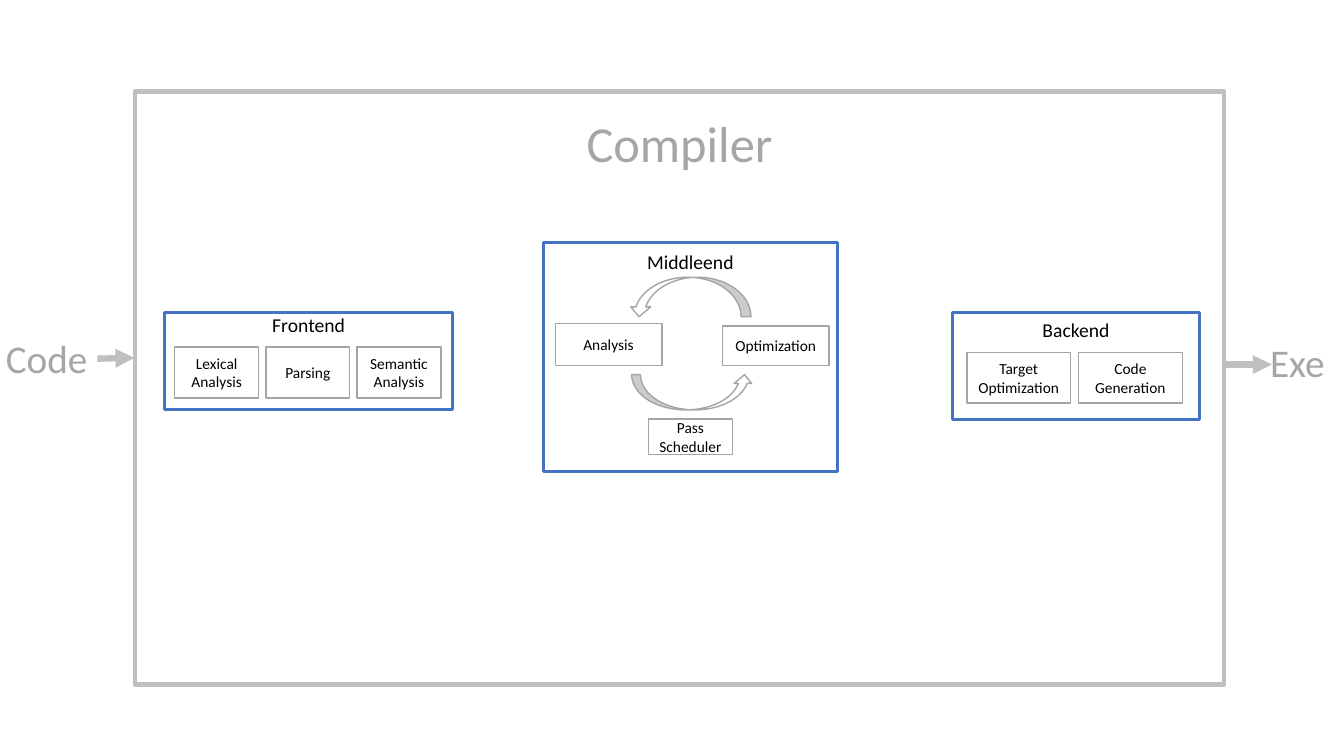
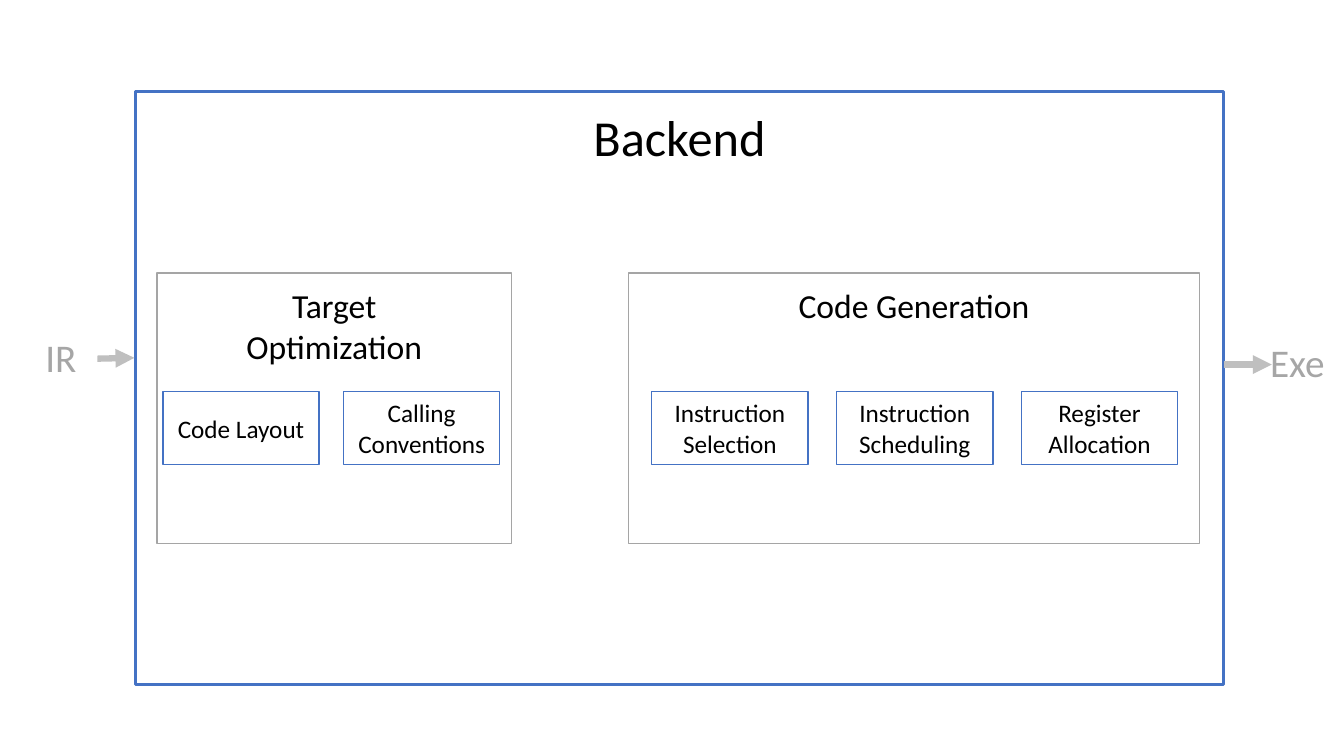
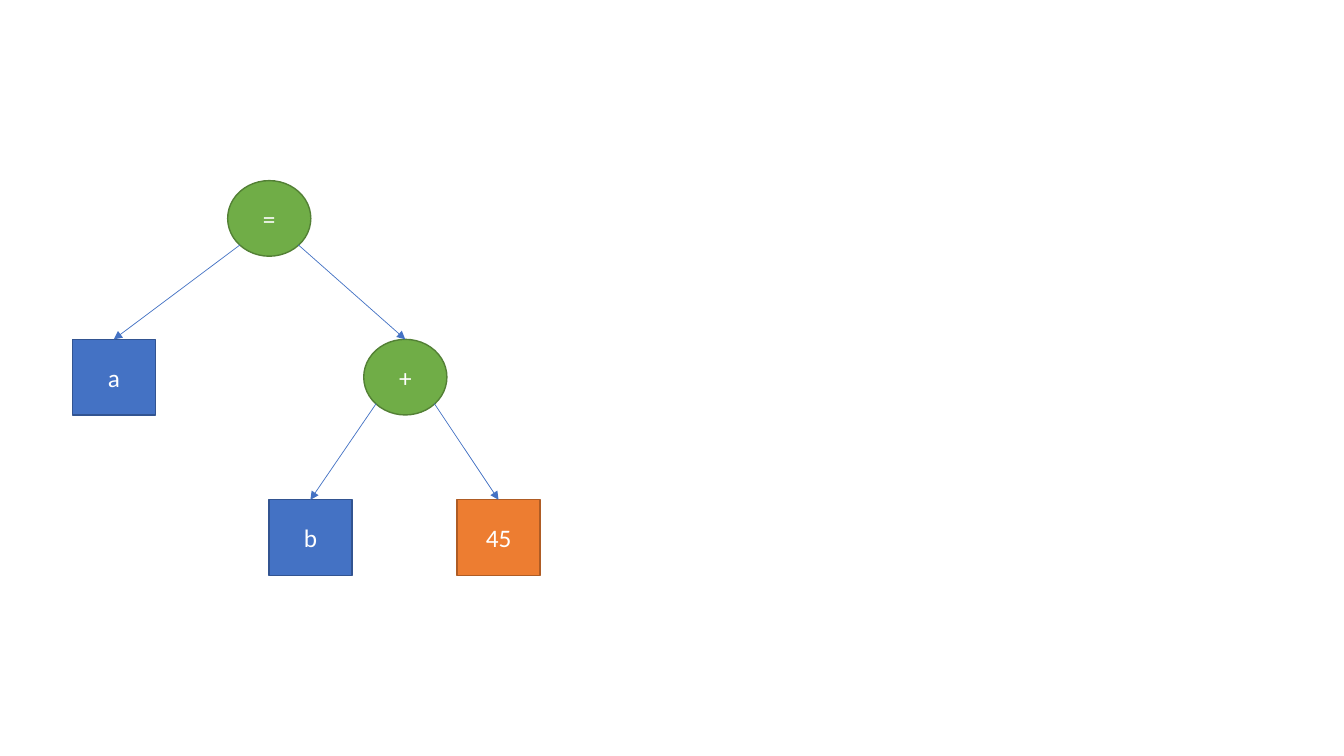
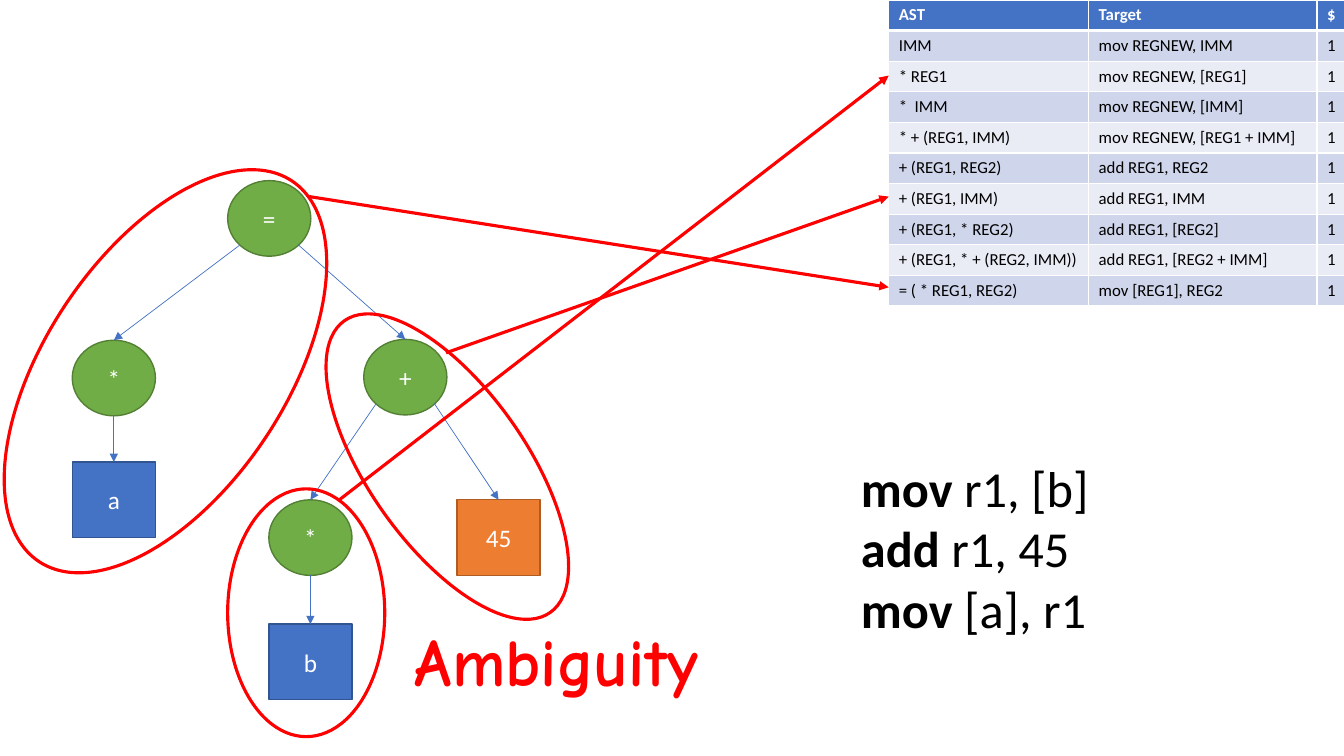
from dataclasses import dataclass
from typing import Optional

import pptx
import pptx.dml.color
import pptx.enum.shapes
import pptx.enum.text
import pptx.oxml
import pptx.oxml.ns
import pptx.util
from lxml import etree

RGB = pptx.dml.color.RGBColor
PRESET = pptx.enum.shapes.MSO_SHAPE
ALIGN = pptx.enum.text.PP_ALIGN
ANCHOR = pptx.enum.text.MSO_ANCHOR
AUTO_SIZE = pptx.enum.text.MSO_AUTO_SIZE
qn = pptx.oxml.ns.qn

# Shared colours and fonts
WHITE = RGB(0xFF, 0xFF, 0xFF)
BLACK = RGB(0, 0, 0)
RED = RGB(0xFF, 0, 0)
BLUE = RGB(0x44, 0x72, 0xC4)
DARK_BLUE = RGB(0x32, 0x54, 0x91)
GREEN = RGB(0x70, 0xAD, 0x47)
DARK_GREEN = RGB(0x53, 0x80, 0x35)
ORANGE = RGB(0xED, 0x7D, 0x31)
DARK_ORANGE = RGB(0xAF, 0x5C, 0x24)
GREY = RGB(0xA5, 0xA5, 0xA5)
TEXT_GREY = RGB(0xA6, 0xA6, 0xA6)
LIGHT_GREY = RGB(0xBF, 0xBF, 0xBF)
BANDS = (RGB(0xE9, 0xEB, 0xF5), RGB(0xCF, 0xD5, 0xEA))
BODY_FONT = "Calibri"
NOTE_FONT = "Comic Neue"

# The slide is a grid of 160 columns by 90 rows
WIDTH, HEIGHT = pptx.util.Inches(13.33), pptx.util.Inches(7.5)
COLUMNS, ROWS = 160, 90


def across(columns: float) -> int:
    return round(WIDTH * columns / COLUMNS)


def down(rows: float) -> int:
    return round(HEIGHT * rows / ROWS)


@dataclass(frozen=True)
class Area:
    left: float
    top: float
    width: float
    height: float

    def lengths(self) -> tuple:
        return across(self.left), down(self.top), across(self.width), down(self.height)


@dataclass(frozen=True)
class Look:
    fill: Optional[RGB]
    line: RGB
    weight: float
    size: float = 18
    color: RGB = BLACK
    preset: int = PRESET.RECTANGLE


@dataclass(frozen=True)
class Stage:
    """A headed box holding one row of equal steps."""
    heading: str
    area: Area
    inset: float
    steps: tuple = ()
    first: Optional[Area] = None
    pitch: float = 0


@dataclass(frozen=True)
class Node:
    label: str
    look: Look
    left: float
    top: float


@dataclass(frozen=True)
class Edge:
    parent: str
    child: str
    side: int  # -1 lower left, 0 bottom, 1 lower right


@dataclass(frozen=True)
class Match:
    column: float
    row: float
    rule: int


@dataclass(frozen=True)
class Ring:
    area: Area
    rotation: float = 0


# Looks
STAGE = Look(None, BLUE, 2.25, 14)
STEP = Look(WHITE, GREY, 1, 11)
GROUP = Look(WHITE, GREY, 1, 24)
GROUP_STEP = Look(WHITE, BLUE, 1, 18)
OPERATOR = Look(GREEN, DARK_GREEN, 1, color=WHITE, preset=PRESET.OVAL)
VARIABLE = Look(BLUE, DARK_BLUE, 1, color=WHITE)
CONSTANT = Look(ORANGE, DARK_ORANGE, 1, color=WHITE)
RING = Look(None, RED, 2.25, preset=PRESET.OVAL)
CYCLE = Look(WHITE, GREY, 1, preset=PRESET.CURVED_UP_ARROW)

# Compiler slides
FRAME = Area(16.1, 10.9, 129.6, 70.6)
COMPILER_STAGES = (
    Stage("Frontend", Area(19.6, 37.2, 34.3, 11.6), 0.1,
          ("Lexical Analysis", "Parsing", "Semantic Analysis"),
          Area(20.8, 41.3, 10, 6.1), 10.85),
    Stage("Middleend", Area(64.7, 28.9, 35, 27.2), 0.8),
    Stage("Backend", Area(113.4, 37.2, 29.4, 12.7), 0.7,
          ("Target\nOptimization", "Code Generation"),
          Area(115.1, 42, 12.35, 6), 13.3),
)
PASSES = (
    ("Analysis", Area(66.1, 38.5, 12.7, 5)),
    ("Optimization", Area(86, 38.8, 12.7, 4.7)),
    ("Pass Scheduler", Area(77.2, 49.9, 10, 4.2)),
)
CYCLE_ARROWS = (Ring(Area(74.9, 33, 14.5, 4.7), 180), Ring(Area(75.2, 44.6, 14.5, 4.2)))
BACKEND_STAGES = (
    Stage("Target\nOptimization", Area(18.7, 32.5, 42.2, 32.2), 1.45,
          ("Code Layout", "Calling Conventions"), Area(19.4, 46.6, 18.6, 8.7), 21.5),
    Stage("Code Generation", Area(74.8, 32.5, 68, 32.2), 1.45,
          ("Instruction Selection", "Instruction Scheduling", "Register Allocation"),
          Area(77.6, 46.6, 18.6, 8.7), 22),
)

# Syntax trees
NODE_WIDTH, NODE_HEIGHT = 9.9, 9
DIAGONAL = 0.35  # share of a circle's size from its centre to a diagonal point
SHARED_NODES = {
    "assign": Node("=", OPERATOR, 27.1, 21.5),
    "add": Node("+", OPERATOR, 43.3, 40.4),
    "literal": Node("45", CONSTANT, 54.4, 59.5),
}
PLAIN_TREE = {
    **SHARED_NODES,
    "target": Node("a", VARIABLE, 8.6, 40.4),
    "operand": Node("b", VARIABLE, 32, 59.5),
}
LOAD_TREE = {
    **SHARED_NODES,
    "target": Node("*", OPERATOR, 8.6, 40.5),
    "operand": Node("*", OPERATOR, 32, 59.5),
    "a": Node("a", VARIABLE, 8.6, 55),
    "b": Node("b", VARIABLE, 32, 74.3),
}
PLAIN_EDGES = (
    Edge("assign", "target", -1),
    Edge("assign", "add", 1),
    Edge("add", "operand", -1),
    Edge("add", "literal", 1),
)
LOAD_EDGES = PLAIN_EDGES + (Edge("target", "a", 0), Edge("operand", "b", 0))

# Instruction selection
RULES = (
    ("AST", "Target", "$"),
    ("IMM", "mov REGNEW, IMM", "1"),
    ("* REG1", "mov REGNEW, [REG1]", "1"),
    ("*  IMM", "mov REGNEW, [IMM]", "1"),
    ("* + (REG1, IMM)", "mov REGNEW, [REG1 + IMM]", "1"),
    ("+ (REG1, REG2)", "add REG1, REG2", "1"),
    ("+ (REG1, IMM)", "add REG1, IMM", "1"),
    ("+ (REG1, * REG2)", "add REG1, [REG2]", "1"),
    ("+ (REG1, * + (REG2, IMM))", "add REG1, [REG2 + IMM]", "1"),
    ("= ( * REG1, REG2)", "mov [REG1], REG2", "1"),
)
RULE_COLUMNS = (23.8, 27.2, 3.4)
RULE_LEFT, RULE_HEIGHT = 105.8, 3.6
MATCHES = (Match(53.1, 42, 6), Match(36.8, 23.4, 9), Match(40.4, 59.5, 2))
RINGS = (
    Ring(Area(43.9, 34.3, 18.7, 42.5), 324.8),
    Ring(Area(5.4, 17, 28.6, 54.4), 33.6),
    Ring(Area(27.1, 58.2, 18.7, 29.5)),
)
LISTING = (("mov", " r1, [b]"), ("add", " r1, 45"), ("mov", " [a], r1"))


# Drawing functions
def set_font(span, size: float, color: RGB, bold: bool = False, name: str = BODY_FONT) -> None:
    span.font.name = name
    span.font.size = pptx.util.Pt(size)
    span.font.color.rgb = color
    span.font.bold = bold


def set_text(frame, text: str, size: float, color: RGB, align=ALIGN.CENTER,
             bold: bool = False, name: str = BODY_FONT) -> None:
    frame.text = text
    for para in frame.paragraphs:
        para.alignment = align
        for span in para.runs:
            set_font(span, size, color, bold, name)


def set_outline(box, fill: Optional[RGB], line: RGB, weight: float) -> None:
    if fill is None:
        box.fill.background()
    else:
        box.fill.solid()
        box.fill.fore_color.rgb = fill
    box.line.color.rgb = line
    box.line.width = pptx.util.Pt(weight)


def draw_box(page, area: Area, look: Look, text: str = "", inset: Optional[float] = None):
    """Text is centred, or starts `inset` rows below the top when that is given."""
    box = page.shapes.add_shape(look.preset, *area.lengths())
    box.shadow.inherit = False
    set_outline(box, look.fill, look.line, look.weight)
    frame = box.text_frame
    frame.word_wrap = True
    frame.vertical_anchor = ANCHOR.MIDDLE
    if inset is not None:
        frame.vertical_anchor = ANCHOR.TOP
        frame.margin_top = down(inset)
    if text:
        set_text(frame, text, look.size, look.color)
    return box


def draw_ring(page, ring: Ring, look: Look) -> None:
    draw_box(page, ring.area, look).rotation = ring.rotation


def draw_arrow(page, start: tuple, end: tuple, color: RGB, weight: float):
    arrow = page.shapes.add_connector(
        pptx.enum.shapes.MSO_CONNECTOR.STRAIGHT,
        across(start[0]), down(start[1]), across(end[0]), down(end[1]))
    arrow.line.color.rgb = color
    arrow.line.width = pptx.util.Pt(weight)
    properties = arrow._element.spPr
    etree.SubElement(properties.find(qn("a:ln")), qn("a:tailEnd"), type="triangle")
    etree.SubElement(properties, qn("a:effectLst"))
    return arrow


def add_text_box(page, area: Area, wrap: bool = False):
    frame = page.shapes.add_textbox(*area.lengths()).text_frame
    frame.margin_left = frame.margin_right = frame.margin_top = frame.margin_bottom = 0
    frame.word_wrap = wrap
    frame.auto_size = AUTO_SIZE.SHAPE_TO_FIT_TEXT
    return frame


def add_framed_page(deck, title: str, source: str, source_area: Area, inset: float,
                    fill: Optional[RGB], line: RGB, weight: float, color: RGB):
    """Slide whose title is the large frame, with its input and output beside it."""
    page = deck.slides.add_slide(deck.slide_layouts[5])
    box = page.shapes.title
    box.left, box.top, box.width, box.height = FRAME.lengths()
    set_outline(box, fill, line, weight)
    frame = box.text_frame
    frame.auto_size = AUTO_SIZE.NONE
    frame.vertical_anchor = ANCHOR.TOP
    frame.margin_top = down(inset)
    set_text(frame, title, 36, color)
    for text, area in ((source, source_area), ("Exe", Area(151.2, 40.3, 6.6, 5.6))):
        set_text(add_text_box(page, area), text, 28, TEXT_GREY, ALIGN.LEFT)
    draw_arrow(page, (11.6, 42.7), (16, 42.6), LIGHT_GREY, 4.5)
    draw_arrow(page, (145.7, 43.4), (151.4, 43.4), LIGHT_GREY, 4.5)
    return page


def draw_stage(page, stage: Stage, look: Look, step_look: Look) -> None:
    draw_box(page, stage.area, look, stage.heading, stage.inset)
    for index, step in enumerate(stage.steps):
        first = stage.first
        area = Area(first.left + index * stage.pitch, first.top, first.width, first.height)
        draw_box(page, area, step_look, step)


def draw_tree(page, nodes: dict, edges: tuple) -> None:
    boxes = {key: draw_box(page, Area(node.left, node.top, NODE_WIDTH, NODE_HEIGHT),
                           node.look, node.label)
             for key, node in nodes.items()}
    for edge in edges:
        parent, child = nodes[edge.parent], nodes[edge.child]
        drop = DIAGONAL if edge.side else 0.5
        start = (parent.left + NODE_WIDTH * (0.5 + DIAGONAL * edge.side),
                 parent.top + NODE_HEIGHT * (0.5 + drop))
        arrow = draw_arrow(page, start, (child.left + NODE_WIDTH / 2, child.top), BLUE, 0.5)
        arrow.end_connect(boxes[edge.child], 0)


def set_borders(cell, bottom: float) -> None:
    properties = cell._tc.get_or_add_tcPr()
    for index, side in enumerate("LRTB"):
        weight = pptx.util.Pt(bottom if side == "B" else 1)
        border = etree.Element(qn("a:ln" + side), w=str(weight))
        fill = etree.SubElement(border, qn("a:solidFill"))
        etree.SubElement(fill, qn("a:srgbClr"), val=str(WHITE))
        properties.insert(index, border)


def draw_rules(page) -> None:
    area = Area(RULE_LEFT, 0, sum(RULE_COLUMNS), RULE_HEIGHT * len(RULES))
    table = page.shapes.add_table(len(RULES), len(RULE_COLUMNS), *area.lengths()).table
    for column, width in zip(table.columns, RULE_COLUMNS):
        column.width = across(width)
    for index, rule in enumerate(RULES):
        header = index == 0
        table.rows[index].height = down(RULE_HEIGHT)
        for column, text in enumerate(rule):
            cell = table.cell(index, column)
            cell.fill.solid()
            cell.fill.fore_color.rgb = BLUE if header else BANDS[index % 2]
            set_text(cell.text_frame, text, 12, WHITE if header else BLACK, ALIGN.LEFT, header)
            set_borders(cell, 3 if header else 1)


def draw_listing(page) -> None:
    frame = add_text_box(page, Area(102.5, 54.4, 48.2, 21.8), wrap=True)
    for index, parts in enumerate(LISTING):
        para = frame.paragraphs[0] if index == 0 else frame.add_paragraph()
        for text, bold in zip(parts, (True, False)):
            span = para.add_run()
            span.text = text
            set_font(span, 36, BLACK, bold)


# Slides
def build_compiler(deck) -> None:
    page = add_framed_page(deck, "Compiler", "Code", Area(0.7, 39.8, 9.8, 5.6), 2.4,
                           WHITE, LIGHT_GREY, 3, TEXT_GREY)
    for stage in COMPILER_STAGES:
        draw_stage(page, stage, STAGE, STEP)
    for name, area in PASSES:
        draw_box(page, area, STEP, name)
    for arrow in CYCLE_ARROWS:
        draw_ring(page, arrow, CYCLE)


def build_backend(deck) -> None:
    page = add_framed_page(deck, "Backend", "IR", Area(5.4, 39.7, 3.8, 5.6), 1.75,
                           None, BLUE, 2.25, BLACK)
    for stage in BACKEND_STAGES:
        draw_stage(page, stage, GROUP, GROUP_STEP)


def build_plain_tree(deck) -> None:
    page = deck.slides.add_slide(deck.slide_layouts[6])
    draw_tree(page, PLAIN_TREE, PLAIN_EDGES)


def build_selection(deck) -> None:
    page = deck.slides.add_slide(deck.slide_layouts[6])
    draw_tree(page, LOAD_TREE, LOAD_EDGES)
    draw_rules(page)
    for match in MATCHES:
        end = (RULE_LEFT, (match.rule + 0.5) * RULE_HEIGHT)
        draw_arrow(page, (match.column, match.row), end, RED, 2.25)
    for ring in RINGS:
        draw_ring(page, ring, RING)
    note = add_text_box(page, Area(49.4, 73.7, 38.6, 9.7))
    set_text(note, "Ambiguity", 48, RED, ALIGN.LEFT, True, NOTE_FONT)
    draw_listing(page)


def main() -> None:
    deck = pptx.Presentation()
    deck.slide_width, deck.slide_height = WIDTH, HEIGHT
    for build in (build_compiler, build_backend, build_plain_tree, build_selection):
        build(deck)
    deck.save("out.pptx")


if __name__ == "__main__":
    main()
